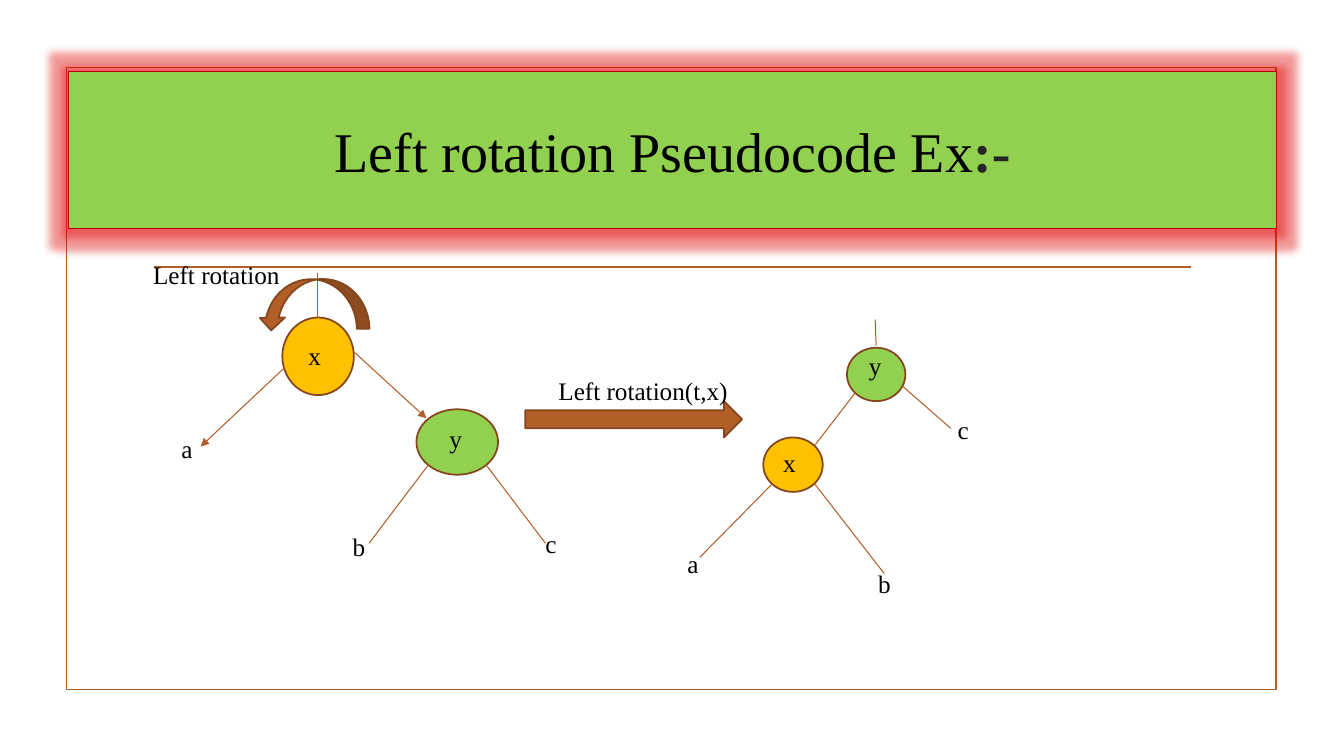
from lxml.etree import SubElement
from pptx import Presentation
from pptx.dml.color import RGBColor
from pptx.enum.shapes import MSO_CONNECTOR, MSO_SHAPE
from pptx.enum.text import MSO_ANCHOR, PP_ALIGN
from pptx.oxml.ns import qn
from pptx.util import Inches, Pt

C = {"green": "92D050", "amber": "FFC000", "rust": "B15E28", "brown": "83461E",
     "red": "C00000", "glow": "E00000", "black": "000000", "dark": "262626"}
FONT = "Times New Roman"

prs = Presentation()
prs.slide_width, prs.slide_height = Inches(13.33), Inches(7.5)
s = prs.slides.add_slide(prs.slide_layouts[6])
ROWS = 75
cell = prs.slide_height / ROWS


def add_box(kind, box, fill, line, width=1.25):
    sp = s.shapes.add_shape(kind, *[round(v * cell) for v in box])
    sp.shadow.inherit = False
    if fill:
        sp.fill.solid()
        sp.fill.fore_color.rgb = RGBColor.from_string(C[fill])
    else:
        sp.fill.background()
    sp.line.color.rgb = RGBColor.from_string(C[line])
    sp.line.width = Pt(width)
    return sp


def add_line(ends, width=0.75, arrow=False):
    cx = s.shapes.add_connector(MSO_CONNECTOR.STRAIGHT, *[round(v * cell) for v in ends])
    cx.line.color.rgb = RGBColor.from_string(C["rust"])
    cx.line.width = Pt(width)
    if arrow:
        SubElement(cx.line._get_or_add_ln(), qn("a:tailEnd"), type="triangle")
    SubElement(cx._element.spPr, qn("a:effectLst"))


add_box(MSO_SHAPE.RECTANGLE, (6.6, 6.7, 120, 61.7), None, "rust")
add_line((15.3, 26.5, 118.1, 26.5), 1.25)

title = add_box(MSO_SHAPE.RECTANGLE, (6.8, 7.1, 119.8, 15.6), "green", "red", 0.75)
glow = SubElement(title._element.spPr.find(qn("a:effectLst")), qn("a:glow"), rad=str(Pt(11)))
clr = SubElement(glow, qn("a:srgbClr"), val=C["glow"])
SubElement(clr, qn("a:alpha"), val="40000")
tf = title.text_frame
tf.word_wrap = True
tf.vertical_anchor = MSO_ANCHOR.MIDDLE
p = tf.paragraphs[0]
p.alignment = PP_ALIGN.CENTER
for text, color, bold in [("Left rotation Pseudocode Ex", "black", False), (":-", "dark", True)]:
    r = p.add_run()
    r.text = text
    r.font.name, r.font.size, r.font.bold = FONT, Pt(40), bold
    r.font.color.rgb = RGBColor.from_string(C[color])

nodes = [((28, 31.5, 7.1, 7.7), "amber"), ((41.3, 40.6, 8.1, 6.5), "green"),
         ((84, 34.5, 5.8, 5.3), "green"), ((75.7, 43.4, 5.9, 5.4), "amber")]
for box, fill in nodes:
    add_box(MSO_SHAPE.OVAL, box, fill, "brown")

for ends in [(35.1, 34.9, 42.3, 41.5), (28.2, 36.5, 19.9, 44.3)]:
    add_line(ends, arrow=True)
for ends in [(42.5, 46.1, 36.6, 53.9), (48.2, 46.1, 54.1, 53.9), (31.5, 27.1, 31.5, 31.5),
             (89.5, 38.3, 94.3, 42.5), (84.8, 39, 80.8, 44.2), (80.8, 48, 87.7, 56.9),
             (76.6, 48, 69.4, 55.3), (86.8, 31.7, 86.9, 34.3)]:
    add_line(ends)

add_box(MSO_SHAPE.RIGHT_ARROW, (52.1, 39.8, 21.5, 3.6), "rust", "brown")

labels = [("a", 17, 42.5, 3.4), ("b", 34, 52.2, 3.5), ("c", 53.1, 51.9, 3.1),
          ("x", 29.6, 33.3, 4.3), ("y", 43.6, 41.5, 10.4),
          ("y", 85.2, 34.3, 5.9), ("x", 76.7, 43.9, 5.3),
          ("a", 67.2, 53.9, 4.2), ("b", 86.1, 55.9, 4.2), ("c", 94, 40.6, 3.7),
          ("Left rotation(t,x)", 54.4, 36.7, 21.2), ("Left rotation", 14.2, 25.2, 19.7)]
for text, x, y, w in labels:
    tf = s.shapes.add_textbox(*[round(v * cell) for v in (x, y, w, 4)]).text_frame
    tf.word_wrap = True
    tf.text = text
    font = tf.paragraphs[0].runs[0].font
    font.name, font.size = FONT, Pt(18)
    font.color.rgb = RGBColor.from_string(C["black"])

turn = add_box(MSO_SHAPE.CURVED_RIGHT_ARROW, (28.6, 24.7, 5, 11), "rust", "brown")
turn.rotation = 89

prs.save("out.pptx")
